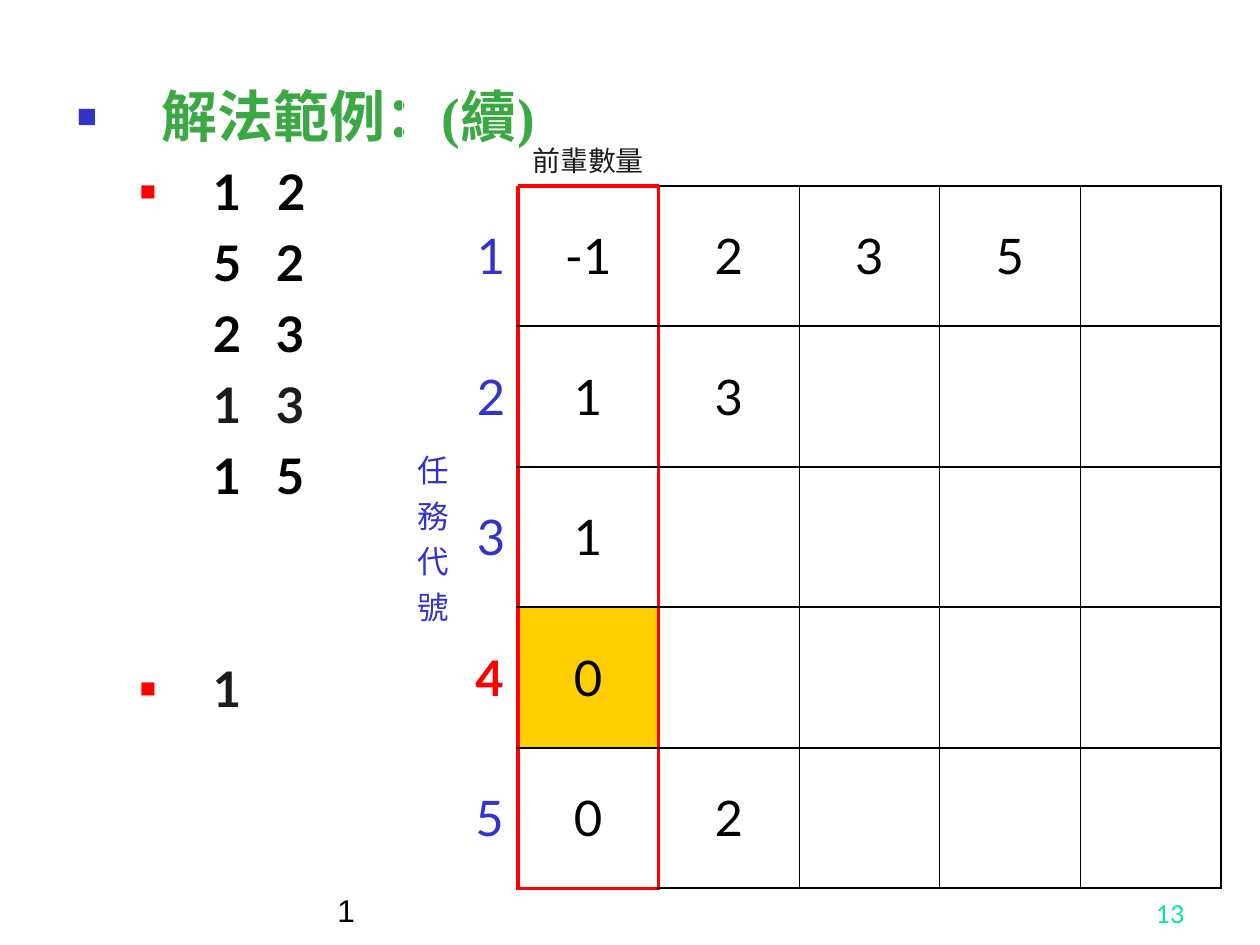
from lxml import etree
from pptx import Presentation
from pptx.dml.color import RGBColor
from pptx.enum.text import MSO_ANCHOR, MSO_AUTO_SIZE, PP_ALIGN
from pptx.oxml.ns import qn
from pptx.util import Inches, Pt

LEFT, CENTER, RIGHT = PP_ALIGN.LEFT, PP_ALIGN.CENTER, PP_ALIGN.RIGHT
MIDDLE, BOTTOM = MSO_ANCHOR.MIDDLE, MSO_ANCHOR.BOTTOM
NO_AUTOFIT = MSO_AUTO_SIZE.NONE

COLORS = {
    "black": "000000", "ink": "1C1C1C", "white": "FFFFFF", "green": "3BA943",
    "blue": "3333CC", "red": "FF0000", "gold": "FFCF01", "mint": "00E4A8",
}


def style(paragraph, size, color, font="Lato", bold=False, align=LEFT):
    paragraph.alignment = align
    for run in paragraph.runs:
        run.font.size = Pt(size)
        run.font.name = font
        run.font.bold = bold
        run.font.color.rgb = RGBColor.from_string(COLORS[color])


def add_xml(parent, tag, **attributes):
    return etree.SubElement(parent, qn(tag), attributes)


presentation = Presentation()
presentation.slide_width, presentation.slide_height = Inches(10), Inches(7.5)
slide = presentation.slides.add_slide(presentation.slide_layouts[1])
heading_slot = slide.shapes.title.element
heading_slot.getparent().remove(heading_slot)

# Outline: heading, task pairs (tab between the two numbers) and the answer
outline = slide.placeholders[1]
outline.left, outline.top = Inches(0.51), Inches(0.6)
outline.width, outline.height = Inches(8.98), Inches(6.38)
outline.text_frame.auto_size = NO_AUTOFIT
outline.text_frame.vertical_anchor = MSO_ANCHOR.TOP

# text, colour, space before, bullet colour
outline_lines = [
    ("解法範例：(續)", "green", 0, "blue"),
    ("1\t2", "black", 7, "red"),
    ("5\t2", "black", 7, None),
    ("2\t3", "black", 7, None),
    ("1\t3", "ink", 7, None),
    ("1\t5", "black", 7, None),
    ("1", "ink", 88, "red"),
]
outline.text_frame.text = "\n".join(line[0] for line in outline_lines)
for index, (text, color, gap, bullet) in enumerate(outline_lines):
    paragraph = outline.text_frame.paragraphs[index]
    is_heading = index == 0
    paragraph.level = 0 if is_heading else 1
    margin, hanging = (0.67, 0.67) if is_heading else (1.08, 0.58)
    properties = paragraph._p.get_or_add_pPr()
    properties.set("marL", str(Inches(margin)))
    properties.set("indent", str(-Inches(hanging) if bullet else 0))
    if bullet:
        bullet_color = add_xml(properties, "a:buClr")
        add_xml(bullet_color, "a:srgbClr", val=COLORS[bullet])
        add_xml(properties, "a:buSzPct", val="60000" if is_heading else "55000")
        add_xml(properties, "a:buFont", typeface="Arial")
        add_xml(properties, "a:buChar", char="■")
    else:
        add_xml(properties, "a:buNone")
    if "\t" in text:
        tabs = add_xml(properties, "a:tabLst")
        add_xml(tabs, "a:tab", pos=str(Inches(1.59)), algn="l")
    paragraph.space_before = Pt(gap)
    if is_heading:
        style(paragraph, 32, color, "Times New Roman", bold=True)
    else:
        style(paragraph, 28, color, bold=True)

# Task table: task label, task number, predecessor count, successors
task_rows = [
    ["", "", "前輩數量", "", "", "", ""],
    ["任務代號", "1", "-1", "2", "3", "5", ""],
    ["", "2", "1", "3", "", "", ""],
    ["", "3", "1", "", "", "", ""],
    ["", "4", "0", "", "", "", ""],
    ["", "5", "0", "2", "", "", ""],
]
row_count, column_count = len(task_rows), len(task_rows[0])
COUNT_COLUMN, FREE_TASK = 2, 4
column_widths = [0.47, 0.45] + [1.116] * 5
row_height = 6.69 / row_count
tasks = slide.shapes.add_table(
    row_count, column_count, Inches(3.19), Inches(0.36), Inches(6.5), Inches(6.69)
).table
tasks.first_row = tasks.horz_banding = False
for column, width in zip(tasks.columns, column_widths):
    column.width = Inches(width)
for row in tasks.rows:
    row.height = Inches(row_height)
tasks.cell(0, 4).merge(tasks.cell(0, 6))
tasks.cell(1, 0).merge(tasks.cell(5, 0))

hidden, frame = ("white", 0.34), ("red", 2.21)
outer, row_rule, column_rule = ("black", 1.08), ("black", 1.47), ("black", 0.45)
for r, row in enumerate(task_rows):
    for c, text in enumerate(row):
        cell = tasks.cell(r, c)

        # Borders follow the grid edge they lie on
        edges = {}
        for side, edge in (("L", c), ("R", c + 1)):
            if r == 0 or edge < COUNT_COLUMN:
                edges[side] = hidden
            elif edge <= COUNT_COLUMN + 1:
                edges[side] = frame
            else:
                edges[side] = outer if edge == column_count else column_rule
        for side, edge in (("T", r), ("B", r + 1)):
            if edge == 0 or c < COUNT_COLUMN:
                edges[side] = hidden
            elif edge in (1, row_count):
                edges[side] = frame if c == COUNT_COLUMN else outer
            else:
                edges[side] = row_rule
        cell_properties = cell._tc.get_or_add_tcPr()
        for side, (color, width) in edges.items():
            line = add_xml(cell_properties, f"a:ln{side}", w=str(Pt(width)))
            fill = add_xml(line, "a:solidFill")
            add_xml(fill, "a:srgbClr", val=COLORS[color])

        # Fill: the task with no predecessors left is marked
        if c == COUNT_COLUMN and 0 < r < 5:
            cell.fill.solid()
            fill_name = "gold" if r == FREE_TASK else "white"
            cell.fill.fore_color.rgb = RGBColor.from_string(COLORS[fill_name])
        else:
            cell.fill.background()

        # Text
        cell.vertical_anchor = BOTTOM if r == 0 else MIDDLE
        if not text:
            continue
        cell.text_frame.text = text
        paragraph = cell.text_frame.paragraphs[0]
        if r == 0:
            style(paragraph, 16, "ink", align=CENTER)
        elif c == 0:
            style(paragraph, 18, "blue", align=RIGHT)
        elif c == 1:
            marked = r == FREE_TASK
            style(paragraph, 28, "red" if marked else "blue", bold=marked,
                  align=CENTER if r >= FREE_TASK else RIGHT)
        else:
            style(paragraph, 28, "black", align=CENTER)

# Footer and page number
for text, left, width, size, color, font, align in [
    ("1", 2.58, 5.42, 18, "black", "Arial", LEFT),
    ("13", 7.42, 2.08, 14, "mint", "Lato", RIGHT),
]:
    footer = slide.shapes.add_textbox(
        Inches(left), Inches(6.92), Inches(width), Inches(0.5)
    ).text_frame
    footer.word_wrap = True
    footer.vertical_anchor = BOTTOM
    footer.text = text
    style(footer.paragraphs[0], size, color, font, align=align)

presentation.save("out.pptx")
